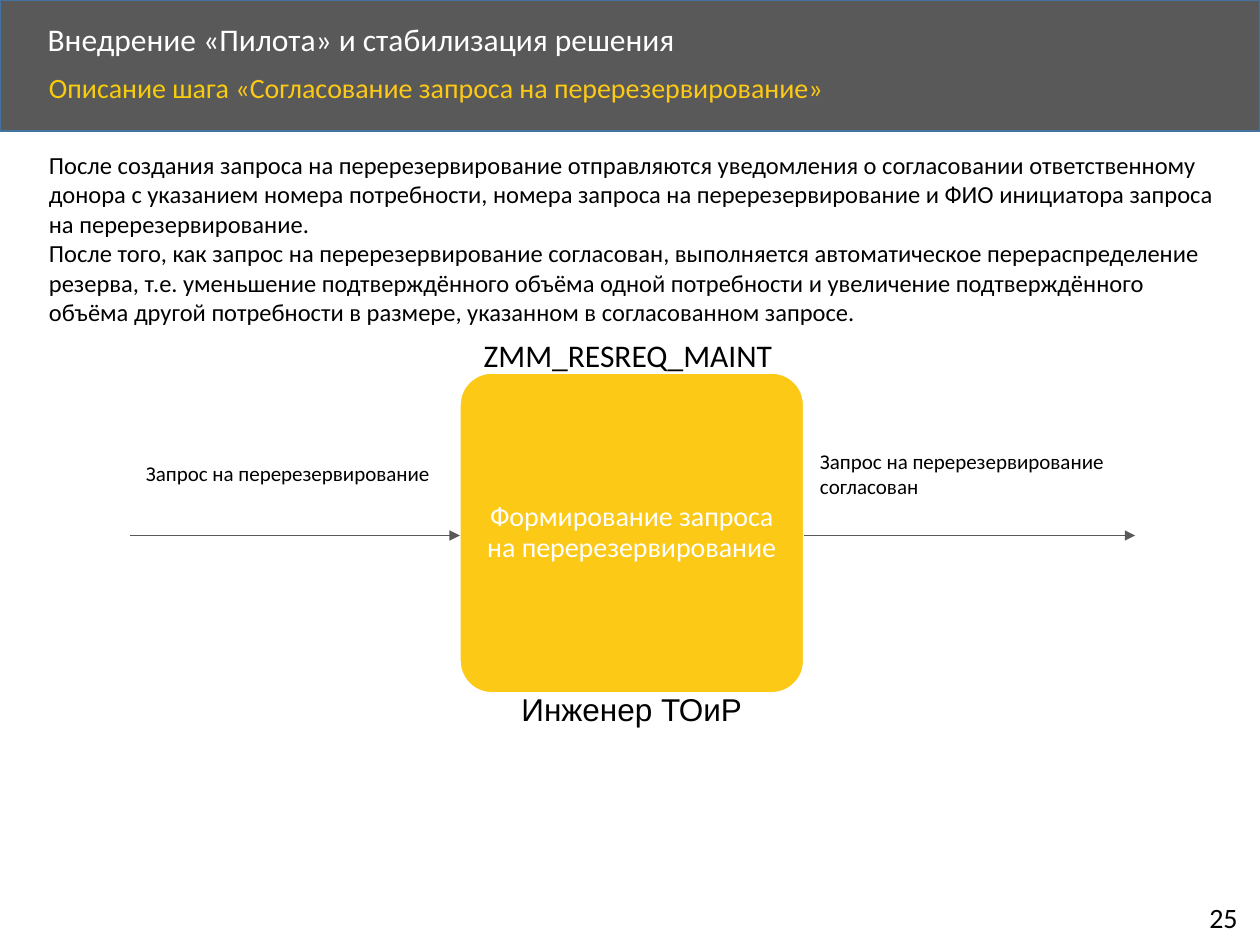
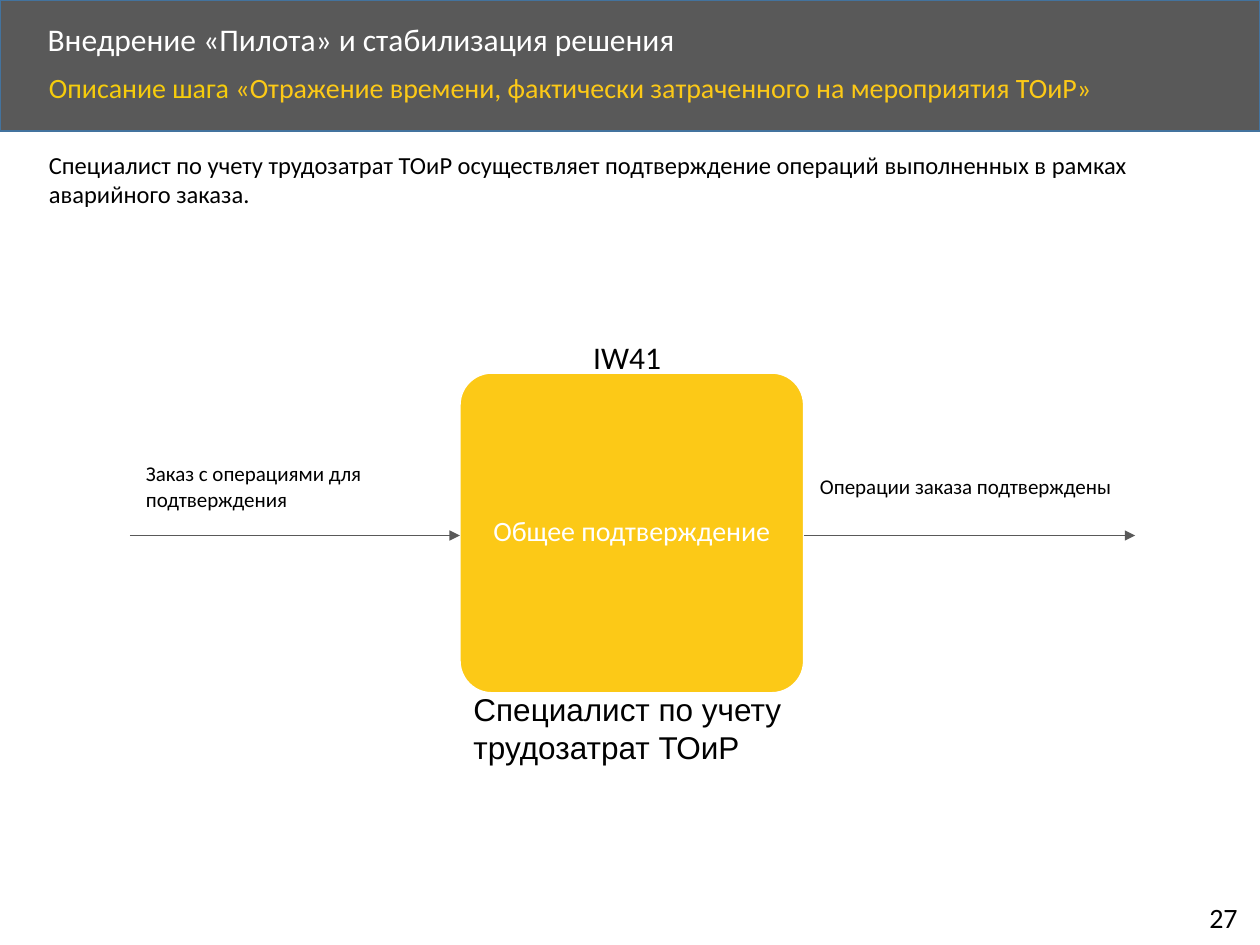
"""Build two process-step slides with a shared header, step card and arrows."""
import pptx
import pptx.dml.color
import pptx.enum.shapes
import pptx.enum.text
import pptx.oxml
import pptx.oxml.ns
import pptx.util

SHAPES = pptx.enum.shapes.MSO_SHAPE
ANCHORS = pptx.enum.text.MSO_ANCHOR
GREY, YELLOW, GOLD, BLUE = "595959", "FCC917", "F6CC0C", "43739E"
BLACK, WHITE = "000000", "FFFFFF"

deck = pptx.Presentation()
deck.slide_width = pptx.util.Inches(10)
deck.slide_height = pptx.util.Inches(7.5)
COLUMN = deck.slide_width / 100
ROW = deck.slide_height / 75


def color(hex_text):
    return pptx.dml.color.RGBColor.from_string(hex_text)


def write(box, paragraphs, size, font="Calibri", frame_format=None, paragraph_format=None):
    """Fill a box with paragraphs, each a list of (text, colour) spans."""
    frame = box.text_frame
    for name, value in {"word_wrap": True, **(frame_format or {})}.items():
        setattr(frame, name, value)
    for index, spans in enumerate(paragraphs):
        para = frame.add_paragraph() if index else frame.paragraphs[0]
        for name, value in (paragraph_format or {}).items():
            setattr(para, name, value)
        for text, hex_text in spans:
            span = para.add_run()
            span.text = text
            for name, value in {"name": font, "size": pptx.util.Pt(size)}.items():
                setattr(span.font, name, value)
            span.font.color.rgb = color(hex_text)


BAND = (0, 0, 100, 10.4)
CARD = (36.5, 29.6, 27.3, 25.4)
ARROW_ROW = 42.5
ARROWS = [(10.3, CARD[0]), (CARD[0] + CARD[2], 90.1)]
TIGHT = {"line_spacing": 0.9}
CARD_INSET = pptx.util.Inches(0.07)

steps = [
    {
        "number": "25",
        "name": "«Согласование запроса на перерезервирование»",
        "card": "Формирование запроса на перерезервирование",
        "labels": [
            ((2.9, 11.4, 94.6, 15.1), 14, "Calibri", True, [
                "После создания запроса на перерезервирование отправляются уведомления о согласовании "
                "ответственному донора с указанием номера потребности, номера запроса на "
                "перерезервирование и ФИО инициатора запроса на перерезервирование.",
                "После того, как запрос на перерезервирование согласован, выполняется автоматическое "
                "перераспределение резерва, т.е. уменьшение подтверждённого объёма одной потребности "
                "и увеличение подтверждённого объёма другой потребности в размере, указанном в "
                "согласованном запросе."]),
            ((37.4, 26.2, 25.6, 4), 18, "Calibri", True, ["ZMM_RESREQ_MAINT"]),
            ((10.6, 36.1, 25.6, 3), 12, "Calibri", True, ["Запрос на перерезервирование"]),
            ((64.1, 35.1, 25.7, 5), 12, "Calibri", True,
             ["Запрос на перерезервирование согласован"]),
            ((40.4, 54.3, 19.7, 4), 18, "Arial", True, ["Инженер ТОиР"]),
        ],
    },
    {
        "number": "27",
        "name": "«Отражение времени, фактически затраченного на мероприятия ТОиР»",
        "card": "Общее подтверждение",
        "labels": [
            ((2.9, 11.4, 94.6, 5.7), 14, "Calibri", True, [
                "Специалист по учету трудозатрат ТОиР осуществляет подтверждение операций "
                "выполненных в рамках аварийного заказа."]),
            ((46.1, 26.3, 7.5, 4), 18, "Calibri", False, ["IW41"]),
            ((10.6, 36.1, 25.6, 5), 12, "Calibri", True, ["Заказ с операциями для подтверждения"]),
            ((64.1, 37.1, 25.7, 3), 12, "Calibri", True, ["Операции заказа подтверждены"]),
            ((36.6, 54.3, 27, 7.1), 18, "Arial", True, ["Специалист по учету трудозатрат ТОиР"]),
        ],
    },
]

for step in steps:
    page = deck.slides.add_slide(deck.slide_layouts[6])
    blocks = []
    for kind, place, fill, line in [
        (SHAPES.RECTANGLE, BAND, GREY, BLUE),
        (SHAPES.ROUNDED_RECTANGLE, CARD, YELLOW, WHITE),
    ]:
        left, top, width, height = place
        block = page.shapes.add_shape(
            kind, int(left * COLUMN), int(top * ROW), int(width * COLUMN), int(height * ROW))
        block.shadow.inherit = False
        block.fill.solid()
        block.fill.fore_color.rgb = color(fill)
        block.line.color.rgb = color(line)
        block.line.width = pptx.util.Pt(1)
        blocks.append(block)
    card = blocks[1]
    card.adjustments[0] = 0.1
    write(card, [[(step["card"], WHITE)]], 16,
          frame_format={"vertical_anchor": ANCHORS.MIDDLE,
                        "margin_left": CARD_INSET, "margin_right": CARD_INSET},
          paragraph_format={**TIGHT, "alignment": pptx.enum.text.PP_ALIGN.CENTER})

    for start, end in ARROWS:
        arrow = page.shapes.add_connector(
            pptx.enum.shapes.MSO_CONNECTOR.STRAIGHT, int(start * COLUMN), int(ARROW_ROW * ROW),
            int(end * COLUMN), int(ARROW_ROW * ROW))
        arrow.line.color.rgb = color(GREY)
        arrow.line.width = pptx.util.Pt(0.5)
        head = pptx.oxml.parse_xml(
            f'<a:tailEnd {pptx.oxml.ns.nsdecls("a")} type="triangle"/>')
        arrow.line._get_or_add_ln().append(head)
        arrow._element.spPr.append(
            pptx.oxml.parse_xml(f'<a:effectLst {pptx.oxml.ns.nsdecls("a")}/>'))

    texts = [
        ((2.8, 1.4, 80.7, 3.8), 18, "Calibri", {"vertical_anchor": ANCHORS.MIDDLE}, TIGHT,
         [[("Внедрение «Пилота» и стабилизация решения", WHITE)]]),
        ((2.9, 5.4, 86.5, 4.5), 16, "Calibri", {}, TIGHT,
         [[("Описание шага ", GOLD), (step["name"], YELLOW)]]),
        ((95, 71, 4.6, 3.7), 16, "Calibri", {"word_wrap": False}, {},
         [[(step["number"], BLACK)]]),
    ]
    for place, size, font, wrap, lines in step["labels"]:
        texts.append((place, size, font, {"word_wrap": wrap}, {},
                      [[(line, BLACK)] for line in lines]))
    for place, size, font, frame_format, paragraph_format, paragraphs in texts:
        left, top, width, height = place
        box = page.shapes.add_textbox(
            int(left * COLUMN), int(top * ROW), int(width * COLUMN), int(height * ROW))
        write(box, paragraphs, size, font, frame_format, paragraph_format)

deck.save("out.pptx")
